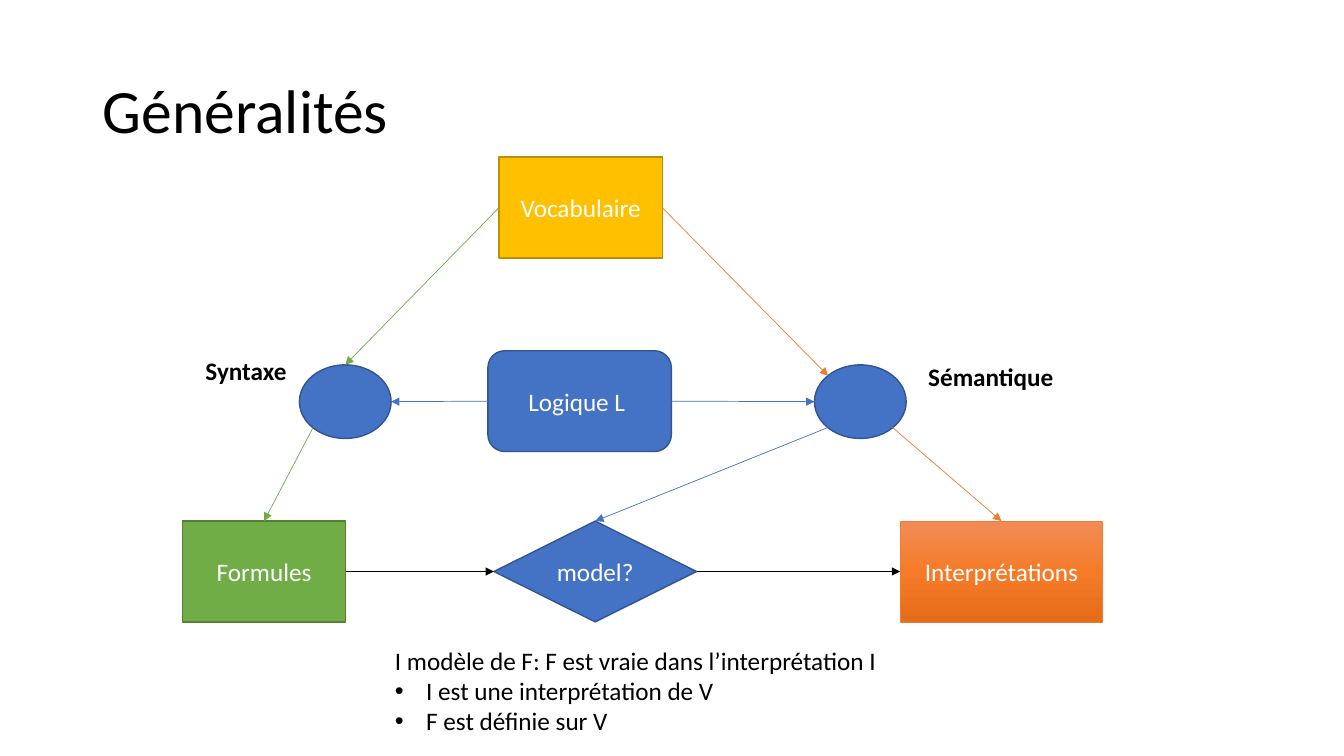
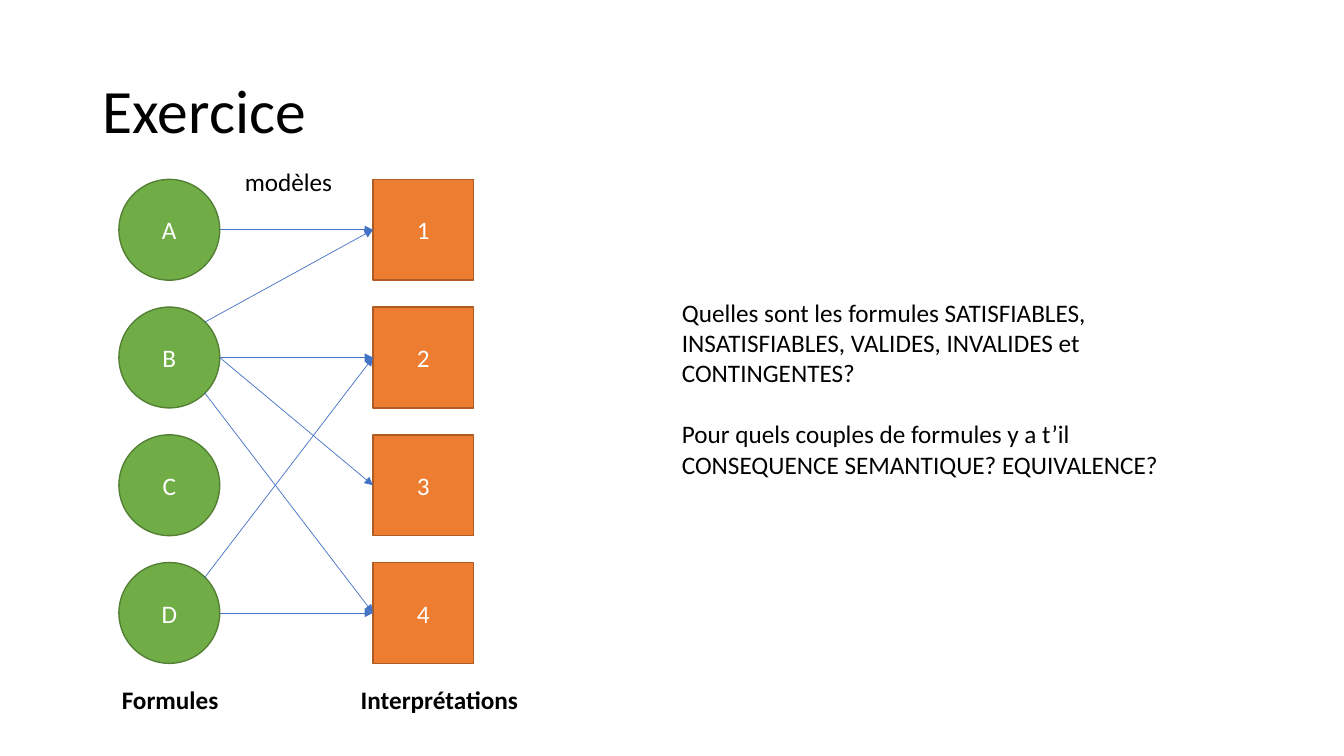
from copy import deepcopy

from lxml.etree import SubElement
from pptx import Presentation
from pptx.dml.color import RGBColor
from pptx.enum.shapes import MSO_CONNECTOR, MSO_SHAPE as SHAPE
from pptx.enum.text import MSO_ANCHOR, MSO_AUTO_SIZE, PP_ALIGN
from pptx.oxml.ns import qn
from pptx.util import Inches, Pt

FONT = "Calibri"
BLACK, WHITE = "000000", "FFFFFF"
BLUE, GREEN, ORANGE, GOLD = "4472C4", "70AD47", "ED7D31", "FFC000"
EDGE = {BLUE: "325491", GREEN: "538035", ORANGE: "AF5C24", GOLD: "BD8E00"}
ORANGE_SHADES = ["F18C57", "F67B28", "E56C19"]

# All places and sizes are counted in grid steps of a tenth of an inch.
STEP = Inches(0.1)
COLS, ROWS = 133.33, 75

# Connection sites: index on the outline, then share of width and height.
NEAR, FAR = 0.15, 0.85
RECT_SITES = {"top": (0, 0.5, 0), "left": (1, 0, 0.5),
              "bottom": (2, 0.5, 1), "right": (3, 1, 0.5)}
OVAL_SITES = {"top": (0, 0.5, 0), "top left": (1, NEAR, NEAR),
              "left": (2, 0, 0.5), "bottom left": (3, NEAR, FAR),
              "bottom": (4, 0.5, 1), "bottom right": (5, FAR, FAR),
              "right": (6, 1, 0.5), "top right": (7, FAR, NEAR)}


def rgb(color):
    return RGBColor.from_string(color)


def steps(*values):
    return [round(v * STEP) for v in values]


def place(origin, x, y, w, h):
    """Turn a place inside a region into slide lengths."""
    return steps(origin[0] + x, origin[1] + y, w, h)


def style_text(tf, color, size=18, bold=False, align=PP_ALIGN.LEFT):
    for p in tf.paragraphs:
        p.alignment = align
        for r in p.runs:
            r.font.name, r.font.size, r.font.bold = FONT, Pt(size), bold
            r.font.color.rgb = rgb(color)


def add_titled_slide(prs, title):
    s = prs.slides.add_slide(prs.slide_layouts[5])
    sp = s.shapes.title
    sp.left, sp.top, sp.width, sp.height = steps(9.2, 4, 115, 14.5)
    tf = sp.text_frame
    tf.text = title
    tf.vertical_anchor = MSO_ANCHOR.MIDDLE
    tf.paragraphs[0].line_spacing = 0.9
    style_text(tf, BLACK, 44)
    return s


def add_node(s, kind, box, color, text=""):
    sp = s.shapes.add_shape(kind, *box)
    sp.shadow.inherit = False
    sp.fill.solid()
    sp.fill.fore_color.rgb = rgb(color)
    sp.line.color.rgb = rgb(EDGE[color])
    sp.line.width = Pt(1)
    tf = sp.text_frame
    tf.text = text
    tf.vertical_anchor = MSO_ANCHOR.MIDDLE
    style_text(tf, WHITE, align=PP_ALIGN.CENTER)
    return sp


def shade(sp, colors, line):
    """Fill a shape from top to bottom with evenly spaced colours."""
    sp.fill.gradient()
    sp.fill.gradient_angle = 270
    stops = sp._element.spPr.find(qn("a:gradFill")).find(qn("a:gsLst"))
    for _ in colors[2:]:
        stops.insert(1, deepcopy(stops[0]))
    for i, (stop, color) in enumerate(zip(sp.fill.gradient_stops, colors)):
        stop.position = i / (len(colors) - 1)
        stop.color.rgb = rgb(color)
    sp.line.color.rgb = rgb(line)
    sp.line.width = Pt(0.5)


def find_site(sp, name):
    """Return the index and the point of a connection site."""
    sites = OVAL_SITES if sp.auto_shape_type == SHAPE.OVAL else RECT_SITES
    index, x, y = sites[name]
    return index, (round(sp.left + x * sp.width), round(sp.top + y * sp.height))


def add_arrow(s, start, start_site, end, end_site, color=BLUE):
    start_index, begin = find_site(start, start_site)
    end_index, finish = find_site(end, end_site)
    c = s.shapes.add_connector(MSO_CONNECTOR.STRAIGHT, *begin, *finish)
    c.line.color.rgb = rgb(color)
    c.line.width = Pt(0.5)
    spPr = c._element.spPr
    SubElement(spPr.find(qn("a:ln")), qn("a:tailEnd"), type="triangle")
    SubElement(spPr, qn("a:effectLst"))
    glue = c._element.nvCxnSpPr.cNvCxnSpPr
    for tag, sp, index in (("a:stCxn", start, start_index),
                           ("a:endCxn", end, end_index)):
        SubElement(glue, qn(tag), id=str(sp.shape_id), idx=str(index))


def add_label(s, box, text, bold=False, wrap=False):
    tf = s.shapes.add_textbox(*box).text_frame
    tf.word_wrap = wrap
    tf.auto_size = MSO_AUTO_SIZE.SHAPE_TO_FIT_TEXT
    tf.text = text
    style_text(tf, BLACK, bold=bold)
    return tf


def add_bullet(p):
    pPr = p._p.get_or_add_pPr()
    indent = Inches(0.31)
    pPr.set("marL", str(indent))
    pPr.set("indent", str(-indent))
    SubElement(pPr, qn("a:buFont"), typeface="Arial")
    SubElement(pPr, qn("a:buChar"), char="•")


def draw_logic_diagram(s, origin):
    mid, low = 20.6, 36.1
    parts = {
        "logic": (SHAPE.ROUNDED_RECTANGLE, (30.3, 19.2, 18.2, 10), BLUE, "Logique L "),
        "vocabulary": (SHAPE.RECTANGLE, (31.4, 0, 16.2, 10), GOLD, "Vocabulaire"),
        "formulas": (SHAPE.RECTANGLE, (0, low, 16.2, 10), GREEN, "Formules"),
        "syntax": (SHAPE.OVAL, (11.6, mid, 9.1, 7.3), BLUE, ""),
        "semantics": (SHAPE.OVAL, (62.7, mid, 9.1, 7.3), BLUE, ""),
        "readings": (SHAPE.RECTANGLE, (71.2, low, 20.1, 10), ORANGE, "Interprétations"),
        "model": (SHAPE.DIAMOND, (30.9, low, 20.1, 10), BLUE, "model?"),
    }
    nodes = {name: add_node(s, kind, place(origin, *box), color, text)
             for name, (kind, box, color, text) in parts.items()}
    shade(nodes["readings"], ORANGE_SHADES, ORANGE)

    for start, start_site, end, end_site, color in (
            ("vocabulary", "left", "syntax", "top", GREEN),
            ("syntax", "bottom left", "formulas", "top", GREEN),
            ("vocabulary", "right", "semantics", "top left", ORANGE),
            ("semantics", "bottom right", "readings", "top", ORANGE),
            ("logic", "left", "syntax", "right", BLUE),
            ("logic", "right", "semantics", "left", BLUE),
            ("semantics", "bottom left", "model", "top", BLUE),
            ("formulas", "right", "model", "left", BLACK),
            ("model", "right", "readings", "left", BLACK)):
        add_arrow(s, nodes[start], start_site, nodes[end], end_site, color)

    add_label(s, place(origin, 1.3, 19.2, 10.1, 4), "Syntaxe", bold=True)
    add_label(s, place(origin, 73, 19.8, 14.5, 4), "Sémantique", bold=True)


def draw_model_note(s, origin):
    tf = add_label(s, place(origin, 0, 0, 50.4, 10.1),
                   "I modèle de F: F est vraie dans l’interprétation I\n"
                   "I est une interprétation de V\n"
                   "F est définie sur V")
    for p in tf.paragraphs[1:]:
        add_bullet(p)


def draw_model_graph(s, origin):
    size, pitch, gap = 10, 12.67, 25.2

    def column(kind, x, color, names):
        return {name: add_node(s, kind, place(origin, x, i * pitch, size, size),
                               color, name)
                for i, name in enumerate(names)}

    formulas = column(SHAPE.OVAL, 0, GREEN, "ABCD")
    readings = column(SHAPE.RECTANGLE, gap, ORANGE, "1234")
    for formula, site, reading in (
            ("A", "right", "1"), ("B", "top right", "1"), ("B", "right", "2"),
            ("B", "right", "3"), ("B", "bottom right", "4"),
            ("D", "top right", "2"), ("D", "right", "4")):
        add_arrow(s, formulas[formula], site, readings[reading], "left")

    add_label(s, place(origin, -0.7, 49.6, 11.7, 4), "Formules", bold=True)
    add_label(s, place(origin, 23, 49.6, 17.7, 4), "Interprétations", bold=True)
    add_label(s, place(origin, 11.5, -1.8, 10.8, 4), "modèles")


def draw_questions(s, origin):
    tf = add_label(s, place(origin, 0, 0, 53.4, 19.2),
                   "Quelles sont les formules SATISFIABLES, INSATISFIABLES, "
                   "VALIDES, INVALIDES et CONTINGENTES?\n"
                   "Pour quels couples de formules y a t’il "
                   "CONSEQUENCE SEMANTIQUE? EQUIVALENCE?", wrap=True)
    tf.paragraphs[0].space_after = Pt(22)


def main():
    prs = Presentation()
    prs.slide_width, prs.slide_height = steps(COLS, ROWS)

    s = add_titled_slide(prs, "Généralités")
    draw_logic_diagram(s, (18.1, 15.6))
    draw_model_note(s, (38.2, 63.5))

    s = add_titled_slide(prs, "Exercice")
    draw_model_graph(s, (11.8, 17.8))
    draw_questions(s, (COLS / 2, 29))

    prs.save("out.pptx")


if __name__ == "__main__":
    main()
